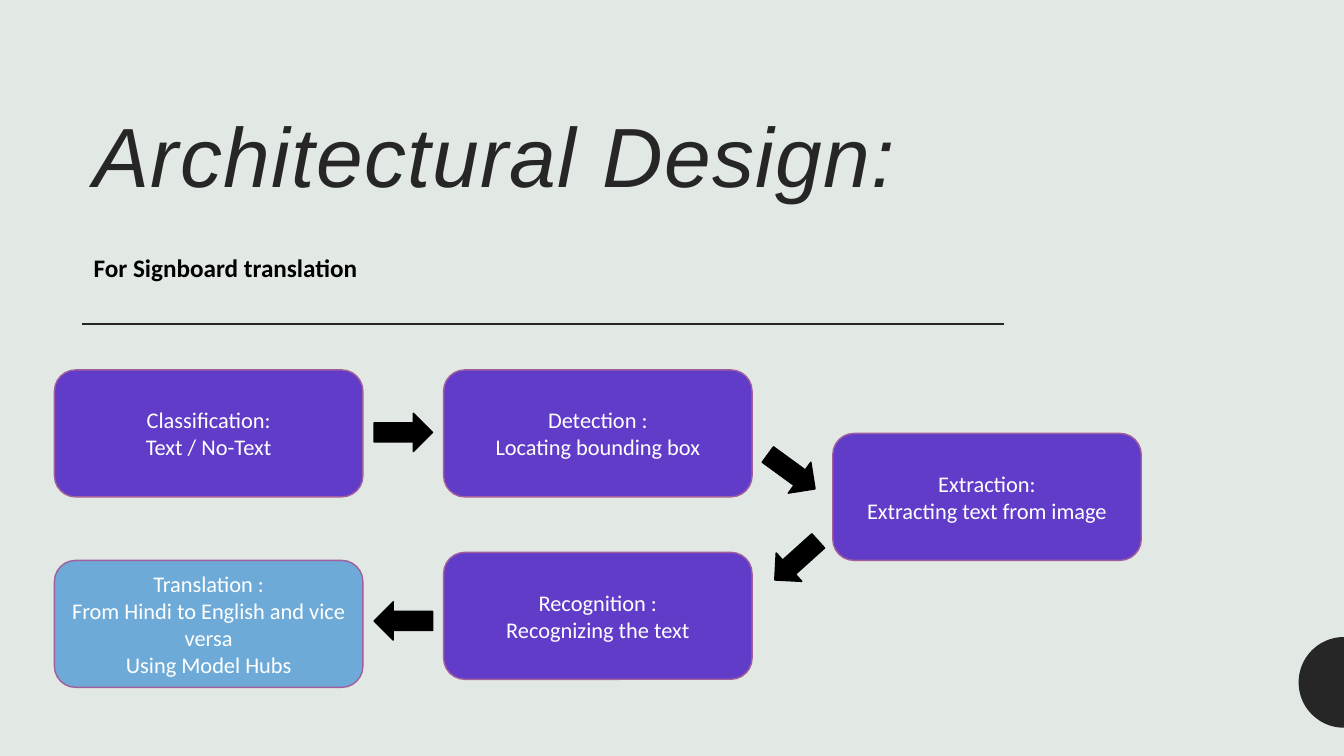
from math import cos, pi, sin

from lxml import etree
from pptx import Presentation
from pptx.dml.color import RGBColor
from pptx.enum.shapes import MSO_CONNECTOR, MSO_SHAPE
from pptx.enum.text import MSO_ANCHOR, PP_ALIGN
from pptx.oxml.ns import qn
from pptx.util import Inches, Pt

ROUNDED, ARROW = MSO_SHAPE.ROUNDED_RECTANGLE, MSO_SHAPE.RIGHT_ARROW
STRAIGHT = MSO_CONNECTOR.STRAIGHT
MIDDLE, TOP = MSO_ANCHOR.MIDDLE, MSO_ANCHOR.TOP
LEFT, CENTER = PP_ALIGN.LEFT, PP_ALIGN.CENTER

THEME = {
    "background": RGBColor.from_string("E2E8E3"),
    "ink": RGBColor.from_string("262626"),
    "step": RGBColor.from_string("613CC9"),
    "result": RGBColor.from_string("6DAAD7"),
    "outline": RGBColor.from_string("A35F9D"),
    "black": RGBColor.from_string("000000"),
    "white": RGBColor.from_string("FFFFFF"),
    "title": {"name": "Arial", "size": Pt(60), "italic": True},
    "subtitle": {"name": "Calibri", "size": Pt(18), "bold": True},
    "label": {"name": "Calibri", "size": Pt(16)},
}

SLIDE_W, SLIDE_H = 13.33, 7.5
COL_X, COL_STEP = 0.54, 3.86
BOX_W, BOX_H = 3.06, 1.26
ARROW_W, ARROW_H = 0.58, 0.38
TEXT_X = 0.83


def write(sp, lines, style, color, align, anchor):
    tf = sp.text_frame
    tf.vertical_anchor = anchor
    for i, line in enumerate(lines):
        p = tf.add_paragraph() if i else tf.paragraphs[0]
        p.alignment = align
        r = p.add_run()
        r.text = line
        r.font.color.rgb = color
        for name, value in THEME[style].items():
            setattr(r.font, name, value)
    return tf


def paint(sp, fill, line=None):
    sp.shadow.inherit = False
    sp.fill.solid()
    sp.fill.fore_color.rgb = fill
    if line is None:
        sp.line.fill.background()
    else:
        sp.line.color.rgb = line
        sp.line.width = Pt(1)


prs = Presentation()
prs.slide_width, prs.slide_height = Inches(SLIDE_W), Inches(SLIDE_H)
s = prs.slides.add_slide(prs.slide_layouts[6])
s.background.fill.solid()
s.background.fill.fore_color.rgb = THEME["background"]

# Heading
title = s.shapes.add_textbox(Inches(TEXT_X), Inches(0.83), Inches(9.1), Inches(1.53))
tf = write(title, ["Architectural Design:"], "title", THEME["ink"], LEFT, MIDDLE)
tf.word_wrap = True
p = tf.paragraphs[0]
p.line_spacing = 0.9
p.runs[0].font._element.set("spc", "100")

subtitle = s.shapes.add_textbox(Inches(TEXT_X), Inches(2.45), Inches(3.31), Inches(0.4))
write(subtitle, ["For Signboard translation"], "subtitle", THEME["black"], LEFT, TOP)

rule = s.shapes.add_connector(STRAIGHT, Inches(0.81), Inches(3.21), Inches(9.96), Inches(3.21))
rule.line.color.rgb = THEME["ink"]
rule.line.width = Pt(1.5)
etree.SubElement(rule._element.spPr, qn("a:effectLst"))

# Half disc on the right edge
radius, center_y, steps = 0.45, 6.77, 52
arc = [(Inches(SLIDE_W - radius * sin(pi * i / steps)),
        Inches(center_y - radius * cos(pi * i / steps))) for i in range(steps + 1)]
outline = s.shapes.build_freeform(*arc[0])
outline.add_line_segments(arc[1:], close=True)
paint(outline.convert_to_shape(), THEME["ink"])

# Pipeline steps: column, top, fill, lines
STEPS = [
    (0, 3.67, "step", ["Classification:", "Text / No-Text"]),
    (1, 3.67, "step", ["Detection :", "Locating bounding box"]),
    (2, 4.3, "step", ["Extraction:", "Extracting text from image"]),
    (1, 5.48, "step", ["Recognition :", "Recognizing the text"]),
    (0, 5.56, "result", ["Translation :", "From Hindi to English and vice versa",
                         "Using Model Hubs"]),
]
for col, top, fill, lines in STEPS:
    sp = s.shapes.add_shape(ROUNDED, Inches(COL_X + col * COL_STEP), Inches(top),
                            Inches(BOX_W), Inches(BOX_H))
    paint(sp, THEME[fill], THEME["outline"])
    write(sp, lines, "label", THEME["white"], CENTER, MIDDLE).word_wrap = True

# Arrows between steps: left, top, rotation
ARROWS = [(3.71, 4.1, 0), (7.56, 4.49, 36.1), (7.61, 5.37, 138), (3.71, 5.97, 180)]
for left, top, angle in ARROWS:
    sp = s.shapes.add_shape(ARROW, Inches(left), Inches(top), Inches(ARROW_W), Inches(ARROW_H))
    paint(sp, THEME["black"], THEME["black"])
    sp.rotation = angle

prs.save("out.pptx")
